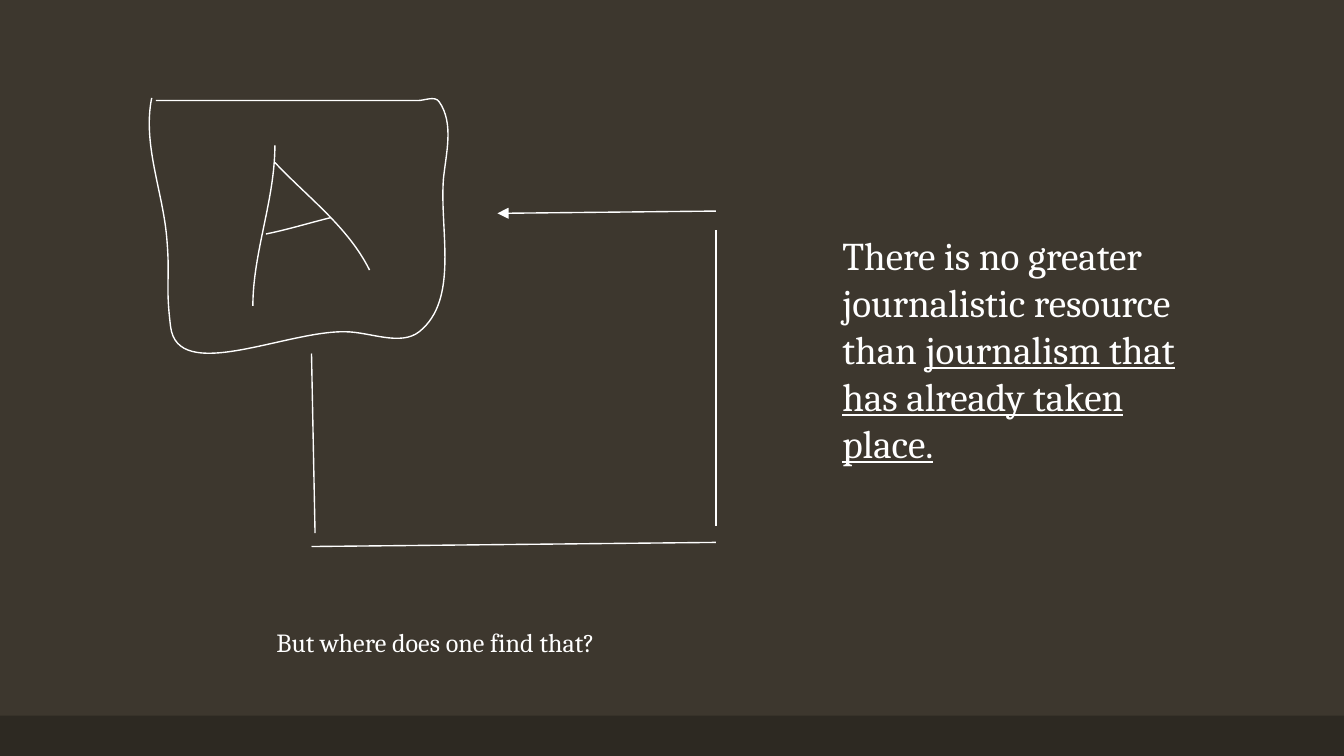
from lxml import etree
from pptx import Presentation
from pptx.dml.color import RGBColor
from pptx.enum.shapes import MSO_CONNECTOR, MSO_SHAPE
from pptx.enum.text import MSO_AUTO_SIZE
from pptx.oxml.ns import qn
from pptx.util import Pt

RECT = MSO_SHAPE.RECTANGLE
STRAIGHT = MSO_CONNECTOR.STRAIGHT
GROW = MSO_AUTO_SIZE.SHAPE_TO_FIT_TEXT
WIDE, HIGH = 720, 405
WHITE, BROWN, DARK = "FFFFFF", "3D372E", "2D2922"
FONT = "Cambria"
STEPS = 16  # samples per curve when its bounds are measured

# Each stroke is a start point, then curves of two handles and an end
FRAME = [(1.4, 0),
         (-3.6, 24.5), (7.2, 49.7), (9.4, 74.2),
         (11.5, 97.9), (8.6, 98.6), (11.5, 122.4),
         (15.1, 153.4), (73.4, 124.6), (105.1, 125.3),
         (118.1, 125.3), (134.6, 133.2), (144.7, 125.3),
         (166.3, 108), (155.5, 70.6), (157.7, 43.2),
         (159.1, 29.5), (163.4, 13.7), (155.5, 2.2),
         (153.4, -1.4), (147.6, 1.4), (144, 1.4),
         (132, 1.4), (120, 1.4), (108, 1.4),
         (73.4, 1.4), (38.2, 1.4), (3.6, 1.4)]
LEFT_LEG = [(67.4, 25.4), (67.4, 54.7), (55.6, 82.8), (55.6, 111.4)]
RIGHT_LEG = [(67.4, 34.6), (85, 53.3), (106.6, 69.1), (118.1, 92.2)]
CROSSBAR = [(62.6, 72.9), (74.2, 70.6), (85.7, 67), (97.4, 64.1)]


def color(code):
    return RGBColor.from_string(code)


def style_line(line):
    line.color.rgb = color(WHITE)
    line.width = Pt(0.75)


def bounds(knots):
    """Return the low and high corners of a chain of cubic curves."""
    points = []
    for i in range(0, len(knots) - 1, 3):
        for step in range(STEPS + 1):
            t = step / STEPS
            u = 1 - t
            points.append([
                u**3 * p + 3 * u * u * t * q + 3 * u * t * t * r + t**3 * s
                for p, q, r, s in zip(*knots[i:i + 4])])
    return [[pick(axis) for axis in zip(*points)] for pick in (min, max)]


def add_point(parent, point):
    etree.SubElement(parent, qn("a:pt"),
                     x=str(int(point[0])), y=str(int(point[1])))


def add_stroke(slide, x, y, knots):
    """Open curved line through the knots."""
    low, high = bounds(knots)
    corners = [(Pt(x + px), Pt(y + py)) for px, py in (low, high)]
    pen = slide.shapes.build_freeform(*corners[0], scale=1.0)
    pen.add_line_segments(corners[1:], close=False)
    stroke = pen.convert_to_shape()
    stroke.shadow.inherit = False
    stroke.fill.background()
    style_line(stroke.line)

    # Curves take the place of the straight segment
    route = stroke._element.find(".//" + qn("a:path"))
    for part in list(route):
        route.remove(part)
    local = [(Pt(px - low[0]), Pt(py - low[1])) for px, py in knots]
    add_point(etree.SubElement(route, qn("a:moveTo")), local[0])
    for i in range(1, len(local), 3):
        curve = etree.SubElement(route, qn("a:cubicBezTo"))
        for point in local[i:i + 3]:
            add_point(curve, point)


def add_sketch(slide, x, y):
    """Hand-drawn frame with the letter A."""
    for knots in (FRAME, LEFT_LEG, RIGHT_LEG, CROSSBAR):
        add_stroke(slide, x, y, knots)


def add_loop(slide, x, y, w, h):
    """Four lines that lead from below the frame back to its side."""
    sides = [((0, 76.3), (1.9, h - 7.2)),
             ((0, h), (w, h - 2.2)),
             ((w, h - 11), (w, 9.9)),
             ((w, 0), (99.6, 1.2))]
    for (x1, y1), (x2, y2) in sides:
        side = slide.shapes.add_connector(
            STRAIGHT, Pt(x + x1), Pt(y + y1), Pt(x + x2), Pt(y + y2))
        style_line(side.line)
        etree.SubElement(side._element.spPr, qn("a:effectLst"))
    # Arrowhead on the last side
    etree.SubElement(side.line._get_or_add_ln(), qn("a:tailEnd"),
                     type="triangle")


def add_text(slide, x, y, w, h, size, plain, marked=""):
    """Text box whose marked part is underlined."""
    frame = slide.shapes.add_textbox(Pt(x), Pt(y), Pt(w), Pt(h)).text_frame
    frame.word_wrap = True
    frame.auto_size = GROW
    frame.margin_left = frame.margin_right = Pt(7.2)
    frame.margin_top = frame.margin_bottom = Pt(7.2)
    para = frame.paragraphs[0]
    para.font.name = FONT
    para.font.size = Pt(size)
    para.font.color.rgb = color(WHITE)
    para.add_run().text = plain
    if marked:
        run = para.add_run()
        run.text = marked
        run.font.underline = True


def add_strip(slide, x, y, w, h):
    """Dark strip along the foot of the slide."""
    strip = slide.shapes.add_shape(RECT, Pt(x), Pt(y), Pt(w), Pt(h))
    strip.shadow.inherit = False
    strip.fill.solid()
    strip.fill.fore_color.rgb = color(DARK)
    strip.line.fill.background()


def main():
    deck = Presentation()
    deck.slide_width, deck.slide_height = Pt(WIDE), Pt(HIGH)
    slide = deck.slides.add_slide(deck.slide_layouts[6])
    slide.background.fill.solid()
    slide.background.fill.fore_color.rgb = color(BROWN)

    add_strip(slide, 0, 383.4, WIDE, HIGH - 383.4)
    add_sketch(slide, 79.9, 52.5)
    add_loop(slide, 166.9, 113.1, 216.6, 179.7)
    # Statement and closing question
    add_text(slide, 444.2, 116.6, 199, 193, 21,
             "There is no greater journalistic resource than ",
             "journalism that has already taken place.")
    add_text(slide, 141, 328.3, 431, 32, 14, "But where does one find that?")
    deck.save("out.pptx")


if __name__ == "__main__":
    main()
